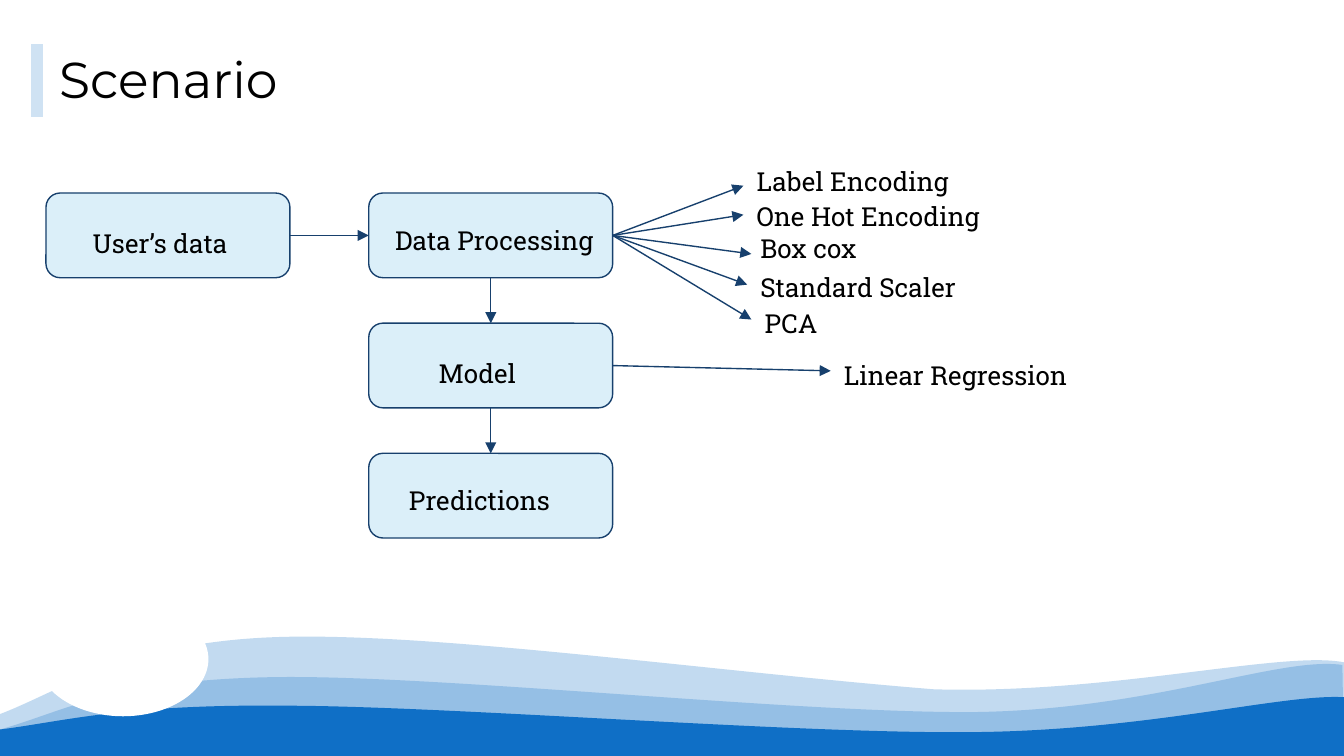
from lxml import etree
from pptx import Presentation
from pptx.dml.color import RGBColor
from pptx.enum import shapes, text
from pptx.oxml import ns
from pptx.util import Cm, Pt

WHITE = RGBColor(0xFF, 0xFF, 0xFF)
BLACK = RGBColor(0, 0, 0)
WAVE = RGBColor(0x0F, 0x6F, 0xC6)
ACCENT = RGBColor(0xCF, 0xE2, 0xF3)
BLOCK = RGBColor(0xDB, 0xEF, 0xF9)
NAVY = RGBColor(0x17, 0x40, 0x6D)

SLIDE_W, SLIDE_H = 25.4, 14.29
BLOCK_W, BLOCK_H = 4.61, 1.6
COLUMN_X, ROW_STEP = 6.1, 2.46

WAVES = [
    ((-0.03, 1.51), [((1.17, 1.06), (2.39, 0.12), (5.33, 0.04)),
                     ((8.28, -0.04), (13.54, 0.7), (17.65, 1.03)),
                     ((20.98, 1.13), (24.23, 0.29), (25.4, 0.52))], 25),
    ((0, 1.79), [((1.19, 1.46), (2.11, 0.85), (5.18, 0.8)),
                 ((8.26, 0.75), (15.09, 1.49), (18.44, 1.46)),
                 ((21.82, 1.41), (24.18, 0.4), (25.37, 0.57))], 25),
    ((0, 1.79), [((1.19, 1.64), (2.31, 1.31), (5.36, 1.34)),
                 ((8.41, 1.34), (14.99, 1.87), (18.31, 1.84)),
                 ((21.67, 1.82), (24.23, 1.11), (25.4, 1.18))], 100),
]
BLOCKS = [
    ("User’s data", 0, 0, 0.63, 0.39, 3.35),
    ("Data Processing", COLUMN_X, 0, 0.25, 0.34, 4.37),
    ("Model", COLUMN_X, ROW_STEP, 1.07, 0.39, 3.56),
    ("Predictions", COLUMN_X, 2 * ROW_STEP, 0.51, 0.34, 3.35),
]
BRANCHES = [
    ("Label Encoding", 0, (13.18, -0.14), (13.18, -0.78), (4.14, 1.27)),
    ("One Hot Encoding", 0, (13.18, 0.41), (13.18, -0.12), (5.84, 1.07)),
    ("Box cox", 0, (13.33, 1.15), (13.25, 0.49), (4.6, 0.81)),
    ("Standard Scaler", 0, (13.25, 1.73), (13.25, 1.23), (4.6, 0.94)),
    ("PCA", 0, (13.33, 2.39), (13.33, 1.92), (4.14, 0.94)),
    ("Linear Regression", ROW_STEP, (14.83, 3.36), (14.83, 2.89), (5.11, 0.94)),
]


def set_text(sp, label, size, font):
    """Write one left-aligned line at the top of a shape."""
    tf = sp.text_frame
    tf.word_wrap = True
    tf.vertical_anchor = text.MSO_ANCHOR.TOP
    tf.margin_left = tf.margin_right = tf.margin_top = tf.margin_bottom = Cm(0.25)
    p = tf.paragraphs[0]
    p.text = label
    p.alignment = text.PP_ALIGN.LEFT
    p.font.size, p.font.name = Pt(size), font
    p.font.color.rgb = BLACK


def add_label(s, label, x, y, w, h):
    """Place a text box of the diagram."""
    sp = s.shapes.add_textbox(Cm(x), Cm(y), Cm(w), Cm(h))
    set_text(sp, label, 14, "Roboto Slab")


def add_line(s, start, end, color=NAVY, width=0.75, arrow=True):
    """Draw a straight connector, with an arrowhead at its end if asked."""
    line = s.shapes.add_connector(shapes.MSO_CONNECTOR.STRAIGHT,
                                  *(Cm(v) for v in (*start, *end)))
    line.line.color.rgb = color
    line.line.width = Pt(width)
    if arrow:
        ln = line._element.spPr.find(ns.qn("a:ln"))
        etree.SubElement(ln, ns.qn("a:tailEnd"), type="triangle")
    etree.SubElement(line._element.spPr, ns.qn("a:effectLst"))


def add_preset(s, kind, x, y, w, h, fill, outline=None):
    """Add a flat preset shape."""
    sp = s.shapes.add_shape(kind, Cm(x), Cm(y), Cm(w), Cm(h))
    sp.shadow.inherit = False
    sp.fill.solid()
    sp.fill.fore_color.rgb = fill
    if outline is None:
        sp.line.fill.background()
    else:
        sp.line.color.rgb = outline
        sp.line.width = Pt(0.75)
    return sp


def bend(sp, curves, x, y):
    """Turn the first straight segments of a freeform into cubic curves."""
    segments = list(sp._element.spPr.iter(ns.qn("a:lnTo")))
    for segment, (b, c, _) in zip(segments, curves):
        curve = etree.Element(ns.qn("a:cubicBezTo"))
        for px, py in (b, c):
            etree.SubElement(curve, ns.qn("a:pt"), x=str(Cm(x + px) - sp.left),
                             y=str(Cm(y + py) - sp.top))
        curve.append(segment[0])
        segment.getparent().replace(segment, curve)


def add_waves(s, x, y, w, h):
    """Fill the box with layered waves and a white oval over them."""
    for start, curves, alpha in WAVES:
        points = [start] + [curve[2] for curve in curves] + [(w, h), (0, h)]
        points = [(Cm(x + px), Cm(y + py)) for px, py in points]
        builder = s.shapes.build_freeform(*points[0])
        builder.add_line_segments(points[1:], close=True)
        sp = builder.convert_to_shape()
        bend(sp, curves, x, y)
        sp.shadow.inherit = False
        sp.fill.solid()
        sp.fill.fore_color.rgb = WAVE
        sp.line.fill.background()
        if alpha < 100:
            color = sp._element.spPr.find(ns.qn("a:solidFill"))[0]
            etree.SubElement(color, ns.qn("a:alpha"), val=str(alpha * 1000))
    add_preset(s, shapes.MSO_SHAPE.OVAL, x + 0.71, y - 0.62, 3.23, 2.16, WHITE)


def add_title(s, x, y, w, h):
    """Place the heading with its accent bar at the left."""
    sp = add_preset(s, shapes.MSO_SHAPE.RECTANGLE, x + 0.17, y, w, h, WHITE)
    set_text(sp, "Scenario", 27, "Montserrat")
    add_line(s, (x, y + 0.18), (x, y + 1.55), ACCENT, 6, arrow=False)


def add_flow(s, x, y):
    """Draw the process blocks, their arrows and the branch labels."""
    for label, dx, dy, text_x, text_y, text_w in BLOCKS:
        left, top = x + dx, y + dy
        add_preset(s, shapes.MSO_SHAPE.ROUNDED_RECTANGLE, left, top,
                   BLOCK_W, BLOCK_H, BLOCK, NAVY)
        add_label(s, label, left + text_x, top + text_y, text_w, 0.81)
    column, middle = x + COLUMN_X, y + BLOCK_H / 2
    add_line(s, (x + BLOCK_W, middle), (column, middle))
    center = column + BLOCK_W / 2
    for row in range(2):
        top = y + row * ROW_STEP
        add_line(s, (center, top + BLOCK_H), (center, top + ROW_STEP))
    for label, row_y, tip, place, size in BRANCHES:
        add_line(s, (column + BLOCK_W, middle + row_y), (x + tip[0], y + tip[1]))
        add_label(s, label, x + place[0], y + place[1], *size)


prs = Presentation()
prs.slide_width, prs.slide_height = Cm(SLIDE_W), Cm(SLIDE_H)
s = prs.slides.add_slide(prs.slide_layouts[6])
s.background.fill.solid()
s.background.fill.fore_color.rgb = WHITE
add_waves(s, 0, 12, SLIDE_W, SLIDE_H - 12)
add_title(s, 0.7, 0.66, 23.67, 1.6)
add_flow(s, 0.87, 3.65)
prs.save("out.pptx")
